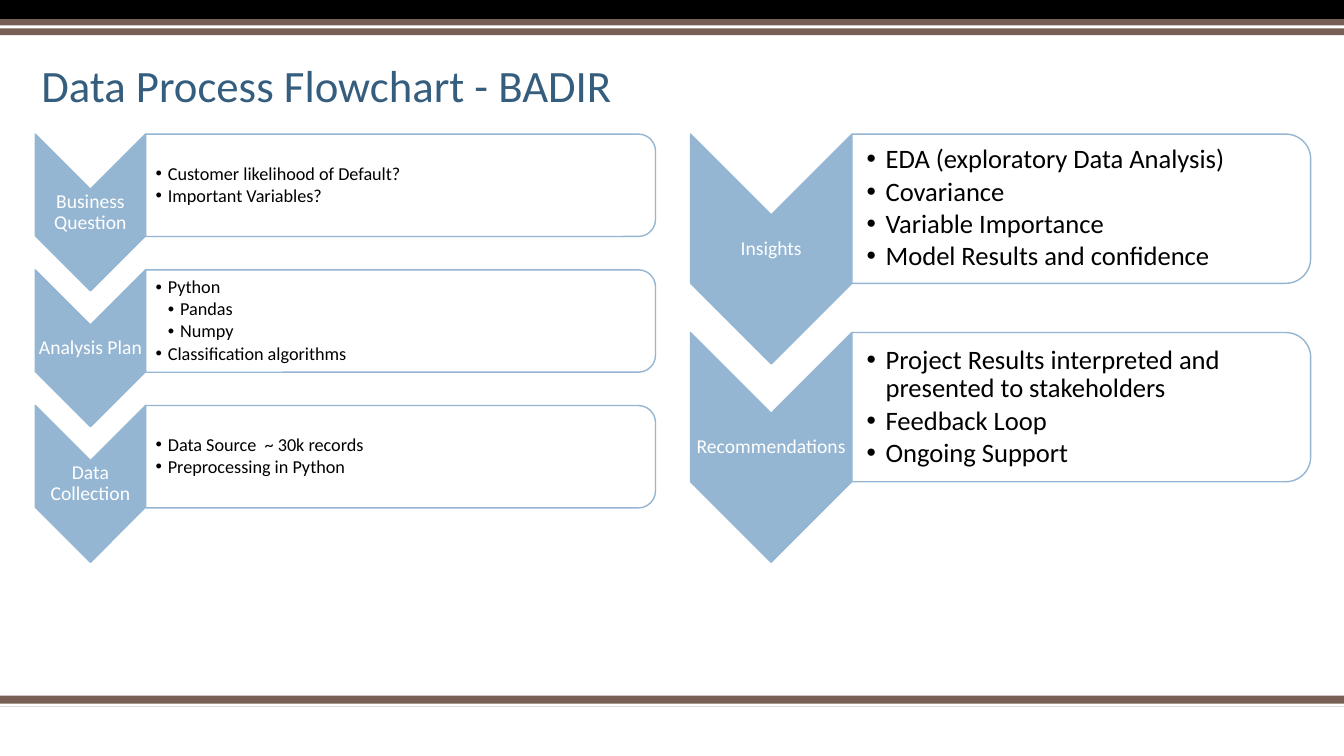
from lxml import etree
from pptx import Presentation
from pptx import util as u
from pptx.dml.color import RGBColor
from pptx.enum import shapes, text
from pptx.oxml.ns import qn

COLORS = {"title": "355D7E", "accent": "94B6D2", "brown": "775F55",
          "black": "000000", "white": "FFFFFF"}
FONT = "Calibri"
TITLE = "Data Process Flowchart - BADIR"
SLIDE_WIDTH, SLIDE_HEIGHT = 33.87, 19.05

# Top, height (cm) and colour of the full-width bands
BANDS = [(17.53, 0.28, "brown"), (17.73, 0.08, "white"), (0, 0.48, "black"),
         (0.48, 0.41, "brown"), (0.64, 0.08, "white")]

# Each step: label, then (bullet, level) pairs. Lengths in cm, sizes in points.
COLUMNS = [
    {"left": 0.89, "arrow_width": 2.78, "arrow_height": 3.95, "step": 3.42,
     "panel_width": 12.85, "panel_height": 2.58, "size": 13,
     "margin": 0.25, "indent": 0.31,
     "steps": [
         ("Business Question", [("Customer likelihood of Default?", 1),
                                ("Important Variables?", 1)]),
         ("Analysis Plan", [("Python", 1), ("Pandas", 2), ("Numpy", 2),
                            ("Classification algorithms", 1)]),
         ("Data Collection", [("Data Source  ~ 30k records", 1),
                              ("Preprocessing in Python", 1)])]},
    {"left": 17.4, "arrow_width": 4.07, "arrow_height": 5.79, "step": 5.0,
     "panel_width": 11.56, "panel_height": 3.76, "size": 19,
     "margin": 0.37, "indent": 0.48,
     "steps": [
         ("Insights", [("EDA (exploratory Data Analysis)", 1), ("Covariance", 1),
                       ("Variable Importance", 1),
                       ("Model Results and confidence", 1)]),
         ("Recommendations", [
             ("Project Results interpreted and presented to stakeholders", 1),
             ("Feedback Loop", 1), ("Ongoing Support", 1)])]},
]
FLOW_TOP = 3.38
LABEL_SIZE = 14
THIN_MARGIN = 0.03
PANEL_INSET = 0.05  # share of the panel height


def rgb(name):
    """Return the named colour."""
    return RGBColor.from_string(COLORS[name])


def write(frame, lines, *, size, color, align=text.PP_ALIGN.LEFT,
          anchor=text.MSO_ANCHOR.MIDDLE, margin=THIN_MARGIN, indent=0, gap=0):
    """Fill a text frame with (text, level) lines; an indent makes them bullets."""
    frame.word_wrap = True
    frame.auto_size = text.MSO_AUTO_SIZE.NONE
    frame.vertical_anchor = anchor
    frame.margin_left = u.Cm(margin)
    frame.margin_top = frame.margin_right = frame.margin_bottom = u.Cm(THIN_MARGIN)
    for index, (line, level) in enumerate(lines):
        paragraph = frame.add_paragraph() if index else frame.paragraphs[0]
        paragraph.alignment = align
        paragraph.line_spacing = 0.9
        paragraph.space_after = u.Pt(gap)
        run = paragraph.add_run()
        run.text = line
        run.font.name = FONT
        run.font.size = u.Pt(size)
        run.font.color.rgb = rgb(color)
        if indent:
            paragraph.level = level
            properties = paragraph._p.get_or_add_pPr()
            properties.set("marL", str(u.Cm(indent * level)))
            properties.set("indent", str(-u.Cm(indent)))
            etree.SubElement(properties, qn("a:buFont"), typeface="Arial")
            etree.SubElement(properties, qn("a:buChar"), char="•")


def add_block(parent, kind, left, top, width, height, fill, line=None, turned=False):
    """Add a filled shape that covers the given area, turned clockwise if asked."""
    if turned:
        left, top = left + (width - height) / 2, top + (height - width) / 2
        width, height = height, width
    shape = parent.add_shape(kind, u.Cm(left), u.Cm(top), u.Cm(width), u.Cm(height))
    shape.rotation = 90 if turned else 0
    shape.shadow.inherit = False
    shape.fill.solid()
    shape.fill.fore_color.rgb = rgb(fill)
    if line:
        shape.line.color.rgb = rgb(line)
        shape.line.width = u.Pt(1)
    else:
        shape.line.fill.background()
    return shape


def add_text(parent, left, top, width, height, lines, **style):
    """Add a text box with formatted lines."""
    box = parent.add_textbox(u.Cm(left), u.Cm(top), u.Cm(width), u.Cm(height))
    write(box.text_frame, lines, **style)


def add_step(parent, column, top, label, bullets):
    """Add one downward arrow with its label and bullet panel."""
    left, width, height = column["left"], column["arrow_width"], column["arrow_height"]
    add_block(parent, shapes.MSO_SHAPE.CHEVRON, left, top, width, height,
              "accent", "accent", turned=True)
    add_text(parent, left, top + width / 2, width, height - width, [(label, 0)],
             size=LABEL_SIZE, color="white", align=text.PP_ALIGN.CENTER)

    panel_left = left + width
    panel_width, panel_height = column["panel_width"], column["panel_height"]
    panel = add_block(parent, shapes.MSO_SHAPE.ROUND_2_SAME_RECTANGLE, panel_left, top,
                      panel_width, panel_height, "white", "accent", turned=True)
    fill_color = panel._element.spPr.find(qn("a:solidFill"))[0]
    etree.SubElement(fill_color, qn("a:alpha"), val="90000")
    inset = PANEL_INSET * panel_height
    add_text(parent, panel_left, top + inset, panel_width - inset,
             panel_height - 2 * inset, bullets, size=column["size"], color="black",
             margin=column["margin"], indent=column["indent"],
             gap=round(column["size"] * 0.13, 1))


presentation = Presentation()
presentation.slide_width = u.Cm(SLIDE_WIDTH)
presentation.slide_height = u.Cm(SLIDE_HEIGHT)
slide = presentation.slides.add_slide(presentation.slide_layouts[5])

for top, height, color in BANDS:
    add_block(slide.shapes, shapes.MSO_SHAPE.RECTANGLE, 0, top, SLIDE_WIDTH, height, color)

title = slide.shapes.title
title.left, title.top, title.width, title.height = map(u.Cm, (0.79, 0, 25.4, 2.97))
write(title.text_frame, [(TITLE, 0)], size=32, color="title",
      anchor=text.MSO_ANCHOR.BOTTOM, margin=0.25)
title.text_frame.margin_bottom = u.Cm(0.13)

for column in COLUMNS:
    group = slide.shapes.add_group_shape()
    for index, (label, bullets) in enumerate(column["steps"]):
        add_step(group.shapes, column, FLOW_TOP + index * column["step"], label, bullets)

presentation.save("out.pptx")
